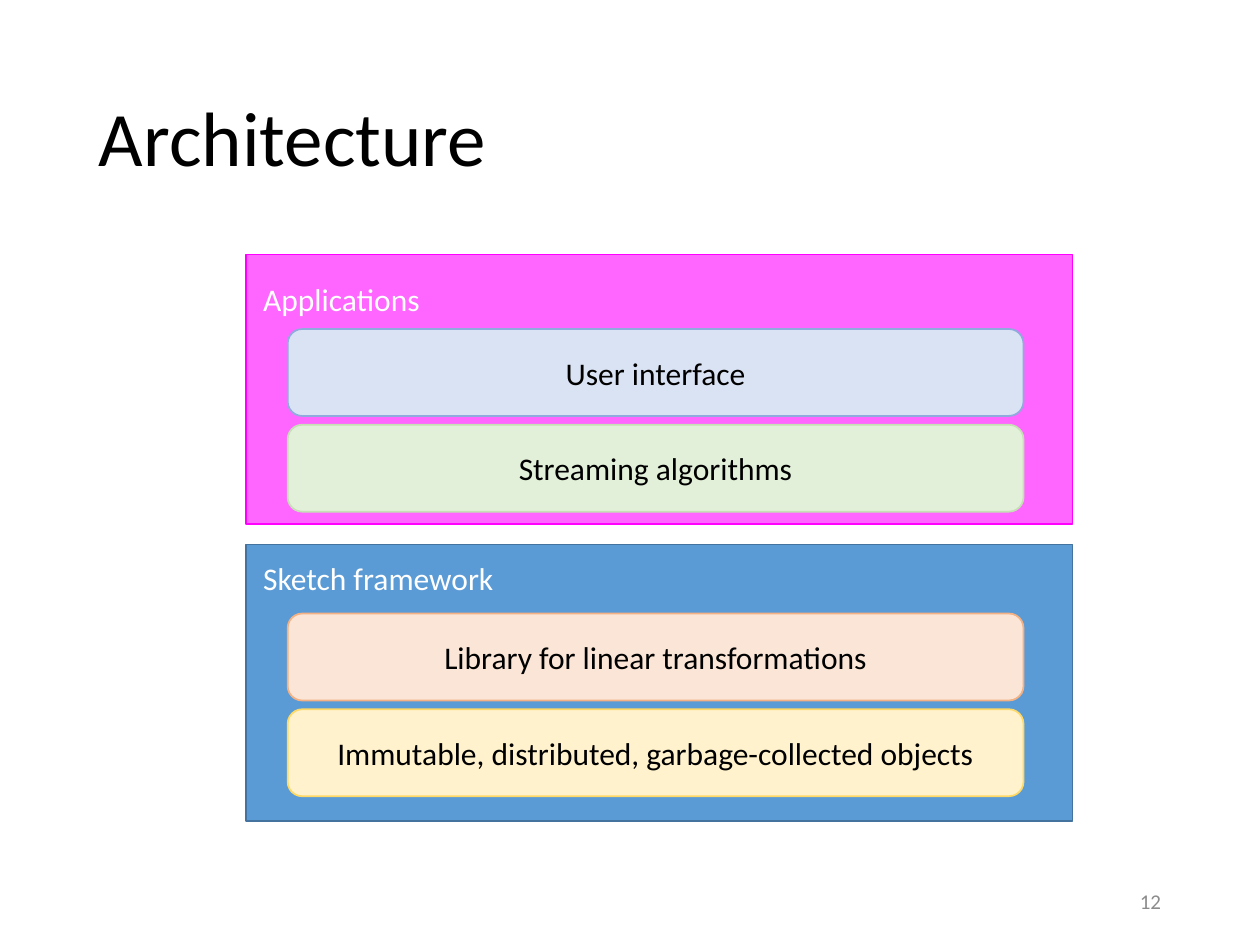
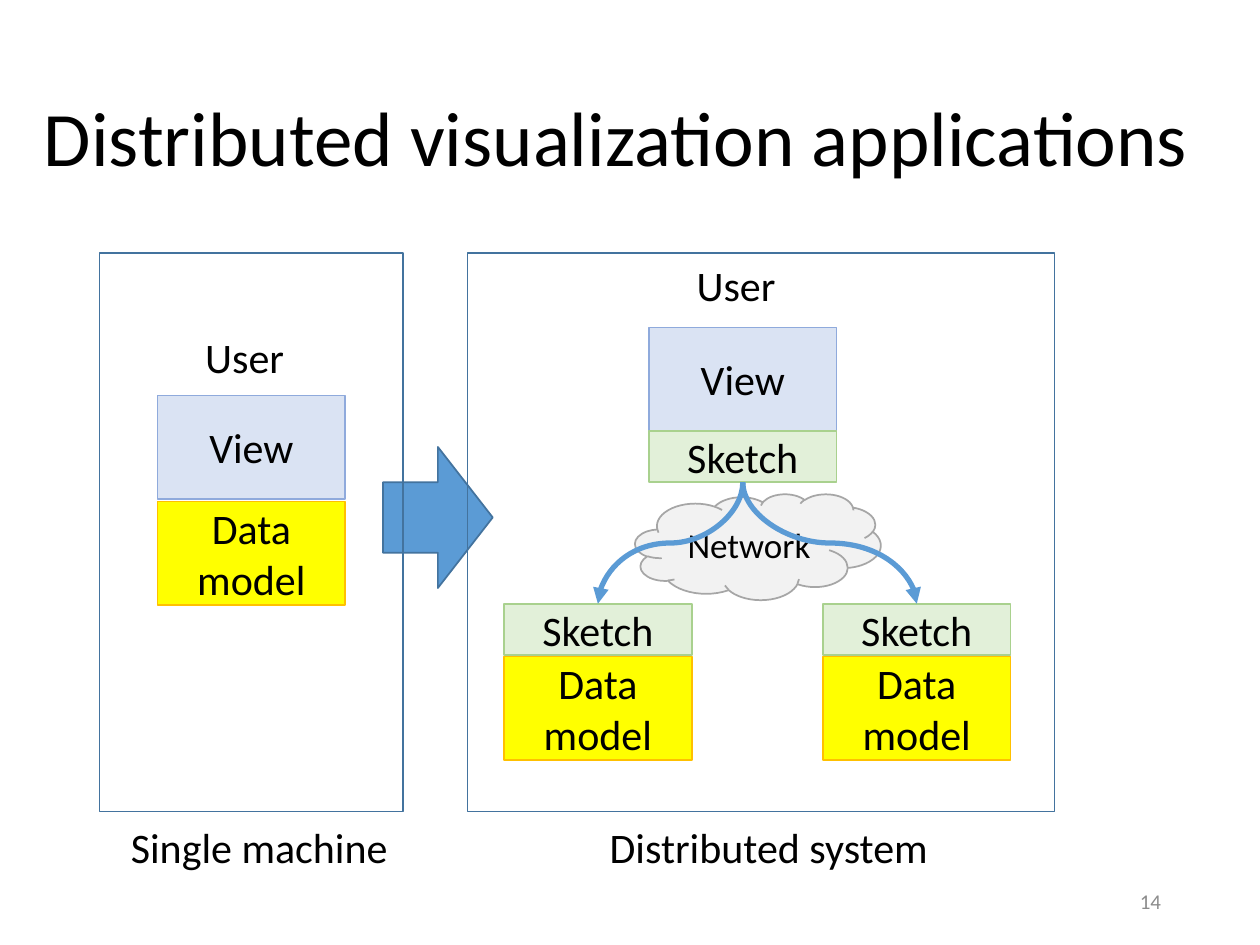
from collections import namedtuple
from dataclasses import dataclass

from lxml.etree import SubElement
from pptx import Presentation
from pptx.dml.color import RGBColor
from pptx.enum.shapes import MSO_CONNECTOR as CONN, MSO_SHAPE as SHAPE
from pptx.enum.text import MSO_ANCHOR as ANCHOR, MSO_AUTO_SIZE as AUTO, PP_ALIGN as ALIGN
from pptx.oxml.ns import qn
from pptx.util import Pt

Box = namedtuple("Box", "x y w h")
Style = namedtuple("Style", "fill line")


@dataclass(frozen=True)
class Theme:
    """Colours, font and type sizes of the deck."""
    font: str = "Calibri"
    title: int = 44
    large: int = 24
    network: int = 20
    body: int = 18
    small: int = 12
    black: str = "000000"
    white: str = "FFFFFF"
    grey: str = "8C8C8C"
    accent: str = "5B9BD5"
    pink: Style = Style("FF66FF", "FF00FF")
    blue: Style = Style("5B9BD5", "43739E")
    frame: Style = Style(None, "43739E")
    view: Style = Style("DAE3F3", "8FAADC")
    sketch: Style = Style("E2F0D9", "A9D18E")
    streaming: Style = Style("E2F0D9", "C5E0B4")
    library: Style = Style("FBE5D6", "F4B183")
    objects: Style = Style("FFF2CC", "FFD966")
    data: Style = Style("FFFF00", "FFC000")
    cloud: Style = Style("F2F2F2", "A6A6A6")


T = Theme()
BLOCK_W, BLOCK_H, SKETCH_H = 107.3, 59, 29.5


def pts(*values):
    """Convert numbers to point lengths."""
    return [Pt(v) for v in values]


def inner(box, dx, dy, w, h):
    """Return a box placed relative to another box."""
    return Box(box.x + dx, box.y + dy, w, h)


def write(sp, text, size, color=T.black, align=ALIGN.LEFT, anchor=ANCHOR.MIDDLE, wrap=True):
    """Write one paragraph into a shape and return it."""
    tf = sp.text_frame
    tf.word_wrap = wrap
    tf.vertical_anchor = anchor
    p = tf.paragraphs[0]
    p.alignment = align
    r = p.add_run()
    r.text = text
    r.font.name = T.font
    r.font.size = Pt(size)
    r.font.color.rgb = RGBColor.from_string(color)
    return p


def shape(s, kind, box, style):
    """Add a preset shape with the given fill and line."""
    sp = s.shapes.add_shape(kind, *pts(*box))
    sp.shadow.inherit = False
    if style.fill:
        sp.fill.solid()
        sp.fill.fore_color.rgb = RGBColor.from_string(style.fill)
    else:
        sp.fill.background()
    if style.line:
        sp.line.color.rgb = RGBColor.from_string(style.line)
        sp.line.width = Pt(1)
    else:
        sp.line.fill.background()
    return sp


def block(s, box, text, style, kind=SHAPE.RECTANGLE, size=T.large, wrap=True):
    """Add a shape with a centred label."""
    write(shape(s, kind, box, style), text, size, align=ALIGN.CENTER, wrap=wrap)


def label(s, box, text):
    """Add a free label that fits its text."""
    sp = s.shapes.add_textbox(*pts(*box))
    write(sp, text, T.large, anchor=ANCHOR.TOP, wrap=False)
    sp.text_frame.auto_size = AUTO.SHAPE_TO_FIT_TEXT


def curve(s, x1, y1, x2, y2):
    """Add a curved arrow that leaves and arrives vertically."""
    side = 1 if x2 < x1 else -1
    cx, cy = (x1 + x2) / 2, (y1 + y2) / 2
    dx, dy = side * (y2 - y1) / 2, abs(x2 - x1) / 2
    c = s.shapes.add_connector(CONN.CURVE, *pts(cx - dx, cy - dy, cx + dx, cy + dy))
    c.line.color.rgb = RGBColor.from_string(T.accent)
    c.line.width = Pt(3)
    pr = c._element.spPr
    pr.find(qn("a:xfrm")).set("rot", str(side * 90 % 360 * 60000))
    SubElement(pr.find(qn("a:ln")), qn("a:tailEnd"), type="triangle")
    SubElement(pr, qn("a:effectLst"))


def base_slide(prs, title, number, title_box):
    """Add a blank slide with its title and page number."""
    s = prs.slides.add_slide(prs.slide_layouts[6])
    p = write(s.shapes.add_textbox(*pts(*title_box)), title, T.title)
    p.line_spacing = 0.9
    sp = s.shapes.add_textbox(*pts(508.5, 500.5, 162, 28.8))
    write(sp, str(number), T.small, T.grey, ALIGN.RIGHT)
    return s


def layer_panel(s, box, name, style, name_dy, tiles_dy, tiles):
    """Add a named layer with its stacked tiles."""
    shape(s, SHAPE.RECTANGLE, box, style)
    sp = shape(s, SHAPE.RECTANGLE, inner(box, 2.9, name_dy, 165.6, 22.3), Style(style.fill, None))
    write(sp, name, T.body, T.white)
    for i, (text, tile) in enumerate(tiles):
        spot = inner(box, 24, tiles_dy + i * 54.7, 420.5, 49.7)
        block(s, spot, text, tile, SHAPE.ROUNDED_RECTANGLE, T.body)


def architecture(prs):
    """Build the architecture slide."""
    s = base_slide(prs, "Architecture", 12, Box(49.5, 28.8, 621, 104.4))
    layer_panel(s, Box(140.4, 145.5, 472.5, 154), "Applications", T.pink, 14.4, 42.5,
                [("User interface", T.view), ("Streaming algorithms", T.streaming)])
    layer_panel(s, Box(140.4, 311.2, 472.5, 157.8), "Sketch framework", T.blue, 8, 39.4,
                [("Library for linear transformations", T.library),
                 ("Immutable, distributed, garbage-collected objects", T.objects)])


def single_machine(s, box):
    """Draw the single-machine model in its frame."""
    label(s, inner(box, 53.3, 41, 59.8, 36.3), "User")
    block(s, inner(box, 33.1, 81.2, BLOCK_W, BLOCK_H), "View", T.view)
    block(s, inner(box, 33.1, 141.8, BLOCK_W, BLOCK_H), "Data model", T.data)
    shape(s, SHAPE.RECTANGLE, box, T.frame)
    label(s, inner(box, 10.8, 321.1, 162.7, 36.3), "Single machine")


def distributed_system(s, box):
    """Draw the distributed model with its network and workers."""
    view_x, worker_xs, worker_y = 103.7, (20.9, 203.1), 200.2
    label(s, inner(box, 123.9, 0, 59.8, 36.3), "User")
    block(s, inner(box, view_x, 42.3, BLOCK_W, BLOCK_H), "View", T.view)
    block(s, inner(box, view_x, 101.3, BLOCK_W, SKETCH_H), "Sketch", T.sketch)
    block(s, inner(box, 95.8, 137.5, 140.4, 60.5), "Network", T.cloud,
          SHAPE.CLOUD, T.network, wrap=False)
    shape(s, SHAPE.RECTANGLE, box, T.frame)
    for dx in worker_xs:
        block(s, inner(box, dx, worker_y, BLOCK_W, SKETCH_H), "Sketch", T.sketch)
        block(s, inner(box, dx, worker_y + 30.2, BLOCK_W, BLOCK_H), "Data model", T.data)
        curve(s, box.x + view_x + BLOCK_W / 2, box.y + 101.3 + SKETCH_H,
              box.x + dx + BLOCK_W / 2, box.y + worker_y)
    label(s, inner(box, 74.2, 321.1, 198, 36.3), "Distributed system")


def applications(prs):
    """Build the distributed visualization slide."""
    s = base_slide(prs, "Distributed visualization applications", 14,
                   Box(18, 28.8, 684, 104.4))
    shape(s, SHAPE.RIGHT_ARROW, Box(218.9, 255.4, 62.7, 80.6), T.blue)
    single_machine(s, Box(56.9, 144.8, 173.5, 319))
    distributed_system(s, Box(267.1, 144.8, 335.5, 319))


def main():
    """Build and save the deck."""
    prs = Presentation()
    prs.slide_width, prs.slide_height = pts(720, 540)
    architecture(prs)
    applications(prs)
    prs.save("out.pptx")


if __name__ == "__main__":
    main()
